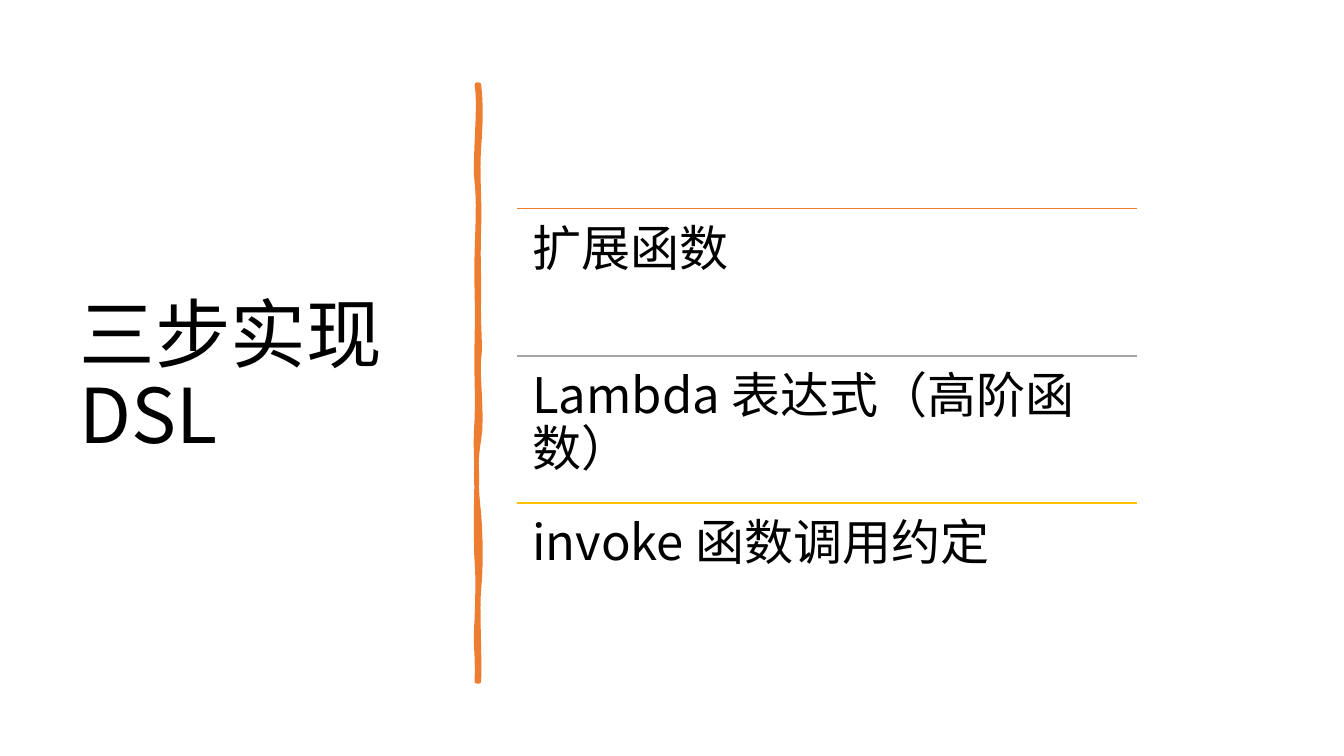
import pptx
import pptx.util
import pptx.dml.color
import pptx.enum.shapes
import pptx.enum.text
import pptx.oxml.ns
from lxml import etree

PX = 9144  # EMU per px, 100 px to the inch
FONT = "Noto Sans CJK SC"
ORANGE, GREY, GOLD, BLACK = "ED7D31", "A5A5A5", "FFC000", "000000"
STEPS = [
    ("扩展函数", ORANGE),
    ("Lambda 表达式（高阶函数）", GREY),
    ("invoke 函数调用约定", GOLD),
]

# Brush stroke edges relative to its box: a start, then three points per curve
RIGHT_EDGE = [
    (4, 0), (6, 18), (6, 35), (4, 62), (2, 89), (5, 111), (4, 142),
    (3, 173), (4, 178), (4, 210), (3, 241), (6, 258), (4, 272),
    (2, 286), (8, 330), (4, 352), (0, 373), (1, 400), (4, 426),
    (6, 452), (6, 480), (4, 500), (2, 519), (5, 566), (4, 592),
]
LEFT_EDGE = [
    (2, 592), (3, 562), (0, 560), (2, 529), (3, 499), (3, 486), (2, 473),
    (1, 460), (1, 411), (2, 393), (2, 375), (0, 361), (2, 331),
    (3, 302), (1, 289), (2, 251), (3, 214), (1, 197), (2, 166),
    (3, 134), (4, 116), (2, 97), (-1, 79), (6, 20), (2, 0),
]


def color(hex_code):
    return pptx.dml.color.RGBColor.from_string(hex_code)


def write(frame, text, size, inset_x, inset_y, anchor):
    frame.word_wrap = True
    frame.auto_size = pptx.enum.text.MSO_AUTO_SIZE.NONE
    frame.vertical_anchor = anchor
    frame.margin_left = frame.margin_right = inset_x * PX
    frame.margin_top = frame.margin_bottom = inset_y * PX
    paragraph = frame.paragraphs[0]
    paragraph.alignment = pptx.enum.text.PP_ALIGN.LEFT
    paragraph.line_spacing = 0.9
    run = paragraph.add_run()
    run.text = text
    run.font.size = pptx.util.Pt(size)
    run.font.name = FONT
    run.font.color.rgb = color(BLACK)
    east_asian = etree.SubElement(run.font._element, pptx.oxml.ns.qn("a:ea"))
    east_asian.set("typeface", FONT)


def trace(edge, steps=8):
    """Points along a chain of cubic curves."""
    points = [edge[0]]
    for i in range(0, len(edge) - 1, 3):
        a, b, c, d = edge[i:i + 4]
        for n in range(1, steps + 1):
            t = n / steps
            u = 1 - t
            points.append(tuple(
                u**3 * a[k] + 3 * u * u * t * b[k] + 3 * u * t * t * c[k] + t**3 * d[k]
                for k in (0, 1)))
    return points


def add_heading(slide, left, top, width, height):
    title = slide.shapes.title
    title.left, title.top = left * PX, top * PX
    title.width, title.height = width * PX, height * PX
    write(title.text_frame, "三步实现DSL", 54, 10, 5, pptx.enum.text.MSO_ANCHOR.MIDDLE)


def add_brush_stroke(slide, left, top):
    outline = [((left + x) * PX, (top + y) * PX)
               for x, y in trace(RIGHT_EDGE) + trace(LEFT_EDGE)]
    builder = slide.shapes.build_freeform(*outline[0], scale=1.0)
    builder.add_line_segments(outline[1:], close=True)
    stroke = builder.convert_to_shape()
    stroke.shadow.inherit = False
    stroke.fill.solid()
    stroke.fill.fore_color.rgb = color(ORANGE)
    stroke.line.color.rgb = color(ORANGE)
    stroke.line.width = pptx.util.Pt(3.25)
    etree.SubElement(stroke.line._get_or_add_ln(), pptx.oxml.ns.qn("a:round"))


def add_steps(slide, left, top, width, row_height):
    for row, (step, rule_color) in enumerate(STEPS):
        y = top + row * row_height
        rule = slide.shapes.add_connector(
            pptx.enum.shapes.MSO_CONNECTOR.STRAIGHT,
            left * PX, y * PX, (left + width) * PX, y * PX)
        rule.line.color.rgb = color(rule_color)
        rule.line.width = pptx.util.Pt(1)
        etree.SubElement(rule._element.spPr, pptx.oxml.ns.qn("a:effectLst"))
        label = slide.shapes.add_textbox(left * PX, y * PX, width * PX, row_height * PX)
        write(label.text_frame, step, 35, 15, 15, pptx.enum.text.MSO_ANCHOR.TOP)


def main():
    deck = pptx.Presentation()
    deck.slide_width, deck.slide_height = 1333 * PX, 750 * PX
    slide = deck.slides.add_slide(deck.slide_layouts[5])
    add_heading(slide, 69, 70, 374, 611)
    add_brush_stroke(slide, 471, 84)
    add_steps(slide, 513, 207, 615, 146)
    deck.save("out.pptx")


if __name__ == "__main__":
    main()
